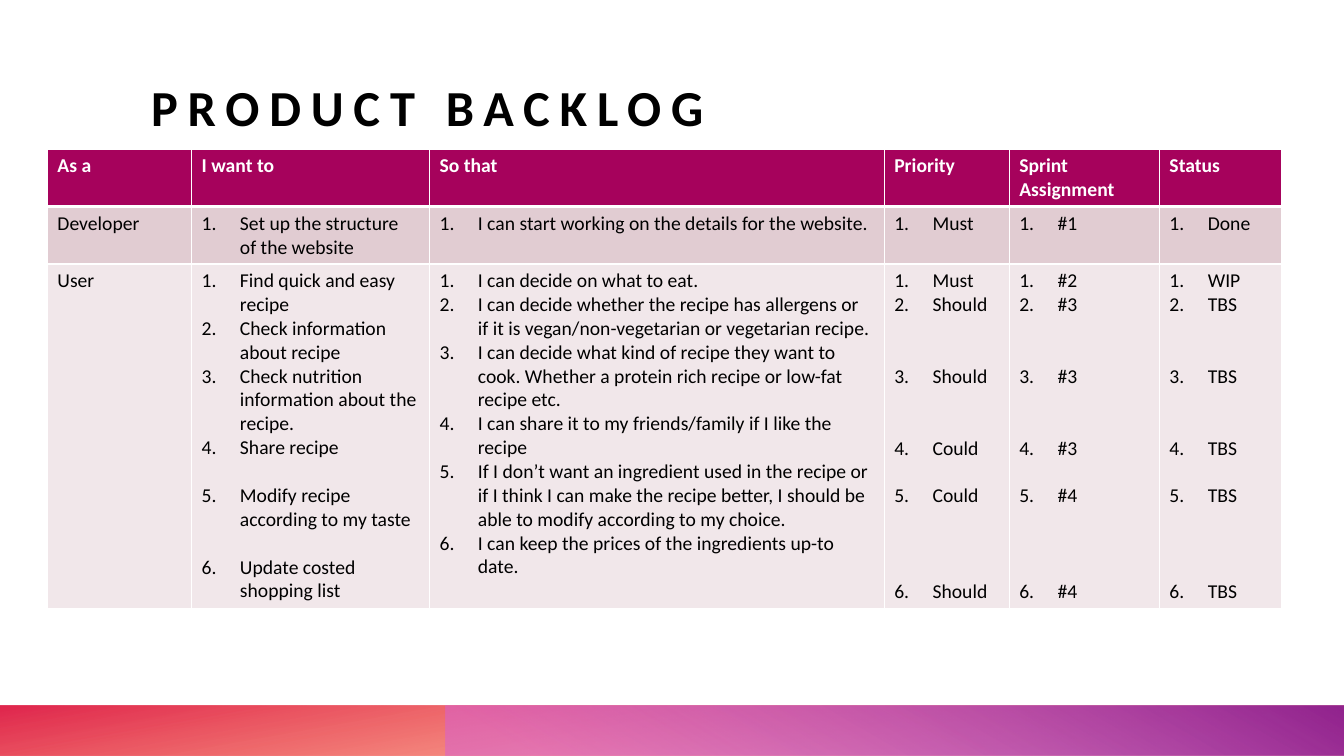
from lxml import etree
from pptx import Presentation
from pptx.dml.color import RGBColor
from pptx.enum import shapes, text
from pptx.oxml import ns
from pptx.util import Inches, Pt

# Content: a numbered list holds (text, empty lines above it)
TITLE = "PRODUCT BACKLOG"
HEADERS = ["As a", "I want to", "So that", "Priority", "Sprint Assignment", "Status"]
GOAL_GAPS = [0, 0, 0, 0, 1, 1]
STATE_GAPS = [0, 0, 2, 2, 1, 3]


def spaced(items, gaps):
    return list(zip(items, gaps))


DEVELOPER = ["Developer"] + [[(item, 0)] for item in (
    "Set up the structure of the website",
    "I can start working on the details for the website.",
    "Must", "#1", "Done")]
USER = [
    "User",
    spaced(["Find quick and easy recipe",
            "Check information about recipe",
            "Check nutrition information about the recipe.",
            "Share recipe",
            "Modify recipe according to my taste",
            "Update costed shopping list"], GOAL_GAPS),
    spaced(["I can decide on what to eat.",
            "I can decide whether the recipe has allergens or if it is "
            "vegan/non-vegetarian or vegetarian recipe.",
            "I can decide what kind of recipe they want to cook. Whether a "
            "protein rich recipe or low-fat recipe etc.",
            "I can share it to my friends/family if I like the recipe",
            "If I don’t want an ingredient used in the recipe or if I think I can make "
            "the recipe better, I should be able to modify according to my choice.",
            "I can keep the prices of the ingredients up-to date."], [0] * 6),
    spaced(["Must", "Should", "Should", "Could", "Could", "Should"], STATE_GAPS),
    spaced(["#2", "#3", "#3", "#3", "#4", "#4"], STATE_GAPS),
    spaced(["WIP", "TBS", "TBS", "TBS", "TBS", "TBS"], STATE_GAPS),
]

# Style
FONT = "Calibri"
BLACK = RGBColor(0x00, 0x00, 0x00)
WHITE = RGBColor(0xFF, 0xFF, 0xFF)
HEADER_FILL = RGBColor(0xA6, 0x02, 0x5C)
DEVELOPER_FILL = RGBColor(0xE1, 0xCC, 0xD2)
USER_FILL = RGBColor(0xF1, 0xE7, 0xEA)
ORANGE = RGBColor(0xFE, 0x4A, 0x00)
RED = RGBColor(0xDA, 0x00, 0x2F)
PINK = RGBColor(0xD8, 0x61, 0xD4)
PURPLE = RGBColor(0x92, 0x24, 0x8E)
LINE_PITCH = 17.1
INDENT = Inches(0.38)

ROWS = [(HEADERS, HEADER_FILL, WHITE, 0.57),
        (DEVELOPER, DEVELOPER_FILL, BLACK, 0.57),
        (USER, USER_FILL, BLACK, 3.42)]
COLUMN_WIDTHS = [1.43, 2.36, 4.51, 1.24, 1.49, 1.21]

# left, width, rotation, gradient angle, stops of (position %, colour, opacity %)
BANDS = [(0, 13.33, 180, 100, [(14, ORANGE, 28), (100, RED, 85)]),
         (4.42, 8.92, 0, 240, [(9, PINK, 55), (99, PURPLE, 100)])]


def child(parent, tag, **attrs):
    el = etree.SubElement(parent, ns.qn(tag))
    for name, value in attrs.items():
        el.set(name, str(value))
    return el


def add_band(s, left, width, rotation, angle, stops):
    sp = s.shapes.add_shape(shapes.MSO_SHAPE.RECTANGLE, Inches(left), Inches(7),
                            Inches(width), Inches(0.5))
    sp.shadow.inherit = False
    sp.line.fill.background()
    sp.rotation = rotation
    sp._element.spPr.find(ns.qn("a:xfrm")).set("flipH", "1")
    sp.fill.gradient()
    grad = sp._element.spPr.find(ns.qn("a:gradFill"))
    for el in list(grad):
        grad.remove(el)
    stop_list = child(grad, "a:gsLst")
    for position, color, opacity in stops:
        stop = child(stop_list, "a:gs", pos=position * 1000)
        child(child(stop, "a:srgbClr", val=color), "a:alpha", val=opacity * 1000)
    child(grad, "a:lin", ang=angle * 60000, scaled=0)


def set_font(p, size, color, bold):
    p.font.name = FONT
    p.font.size = Pt(size)
    p.font.bold = bold
    p.font.color.rgb = color


def add_borders(cell, top, bottom):
    tc_pr = cell._tc.get_or_add_tcPr()
    for side, points in (("L", 1), ("R", 1), ("T", top), ("B", bottom)):
        line = child(tc_pr, "a:ln" + side, w=Pt(points))
        child(child(line, "a:solidFill"), "a:srgbClr", val=WHITE)


def fill_cell(cell, content, color, bold):
    numbered = isinstance(content, list)
    tf = cell.text_frame
    for i, (item, gap) in enumerate(content if numbered else [(content, 0)]):
        p = tf.add_paragraph() if i else tf.paragraphs[0]
        p.add_run().text = item
        if numbered:
            p_pr = p._p.get_or_add_pPr()
            p_pr.set("marL", str(INDENT))
            p_pr.set("indent", str(-INDENT))
            child(p_pr, "a:buFont", typeface="+mj-lt")
            child(p_pr, "a:buAutoNum", type="arabicPeriod")
        if gap:
            p.space_before = Pt(gap * LINE_PITCH)
        set_font(p, 14, color, bold)


prs = Presentation()
prs.slide_width, prs.slide_height = Inches(13.33), Inches(7.5)
s = prs.slides.add_slide(prs.slide_layouts[6])

# Bottom bands
for band in BANDS:
    add_band(s, *band)

# Title
tf = s.shapes.add_textbox(Inches(1.5), 0, Inches(11.2), Inches(1.35)).text_frame
tf.word_wrap = True
tf.vertical_anchor = text.MSO_ANCHOR.BOTTOM
tf.margin_left = tf.margin_right = tf.margin_top = tf.margin_bottom = 0
p = tf.paragraphs[0]
r = p.add_run()
r.text = TITLE
r._r.get_or_add_rPr().set("spc", "700")
set_font(p, 36, BLACK, True)

# Backlog table
table = s.shapes.add_table(len(ROWS), len(HEADERS), Inches(0.47), Inches(1.48),
                           Inches(sum(COLUMN_WIDTHS)),
                           Inches(sum(row[3] for row in ROWS))).table
for column, width in zip(table.columns, COLUMN_WIDTHS):
    column.width = Inches(width)
for y, (contents, fill, color, height) in enumerate(ROWS):
    table.rows[y].height = Inches(height)
    for x, content in enumerate(contents):
        cell = table.cell(y, x)
        add_borders(cell, 3 if y == 1 else 1, 3 if y == 0 else 1)
        cell.fill.solid()
        cell.fill.fore_color.rgb = fill
        fill_cell(cell, content, color, y == 0)

prs.save("out.pptx")
